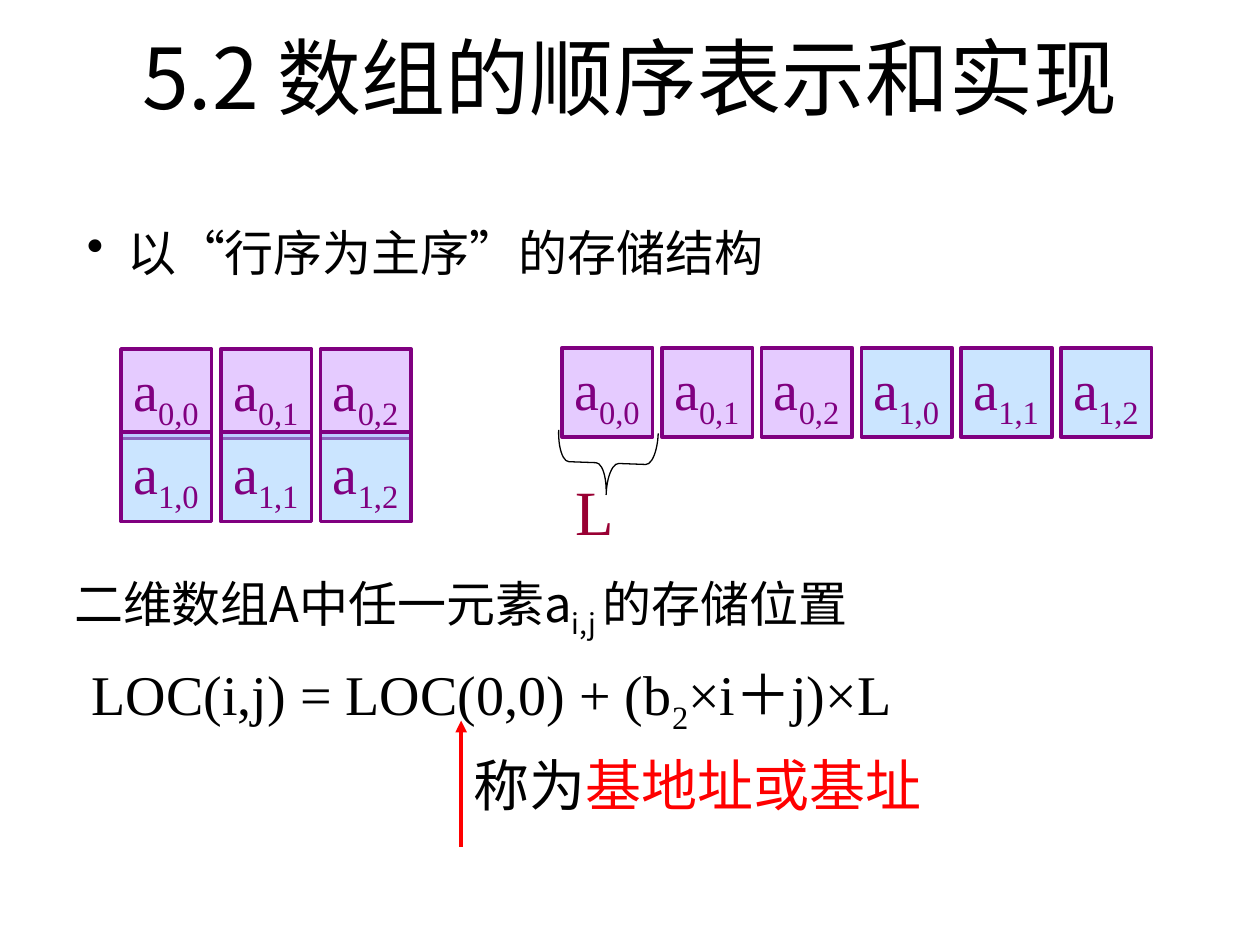
import pptx
import pptx.util
import pptx.dml.color
import pptx.enum.shapes
import pptx.enum.text
import pptx.oxml.ns
from lxml import etree

Inches, Pt = pptx.util.Inches, pptx.util.Pt
Shape = pptx.enum.shapes.MSO_SHAPE
Align, Anchor = pptx.enum.text.PP_ALIGN, pptx.enum.text.MSO_ANCHOR
qn = pptx.oxml.ns.qn
SANS, SERIF = "Noto Sans CJK SC", "Times New Roman"
INK = {"black": "000000", "purple": "800080", "lilac": "CC99FF",
       "sky": "99CCFF", "wine": "990033", "red": "FF0000"}


def rgb(name):
    return pptx.dml.color.RGBColor.from_string(INK[name])


def write(para, text, size=28, font=SERIF, color="black", sub=False):
    run = para.add_run()
    run.text = text
    run.font.size = Pt(size)
    run.font.name = font
    run.font.color.rgb = rgb(color)
    props = run._r.get_or_add_rPr()
    etree.SubElement(props, qn("a:ea")).set("typeface", SANS)
    if sub:
        props.set("baseline", "-25000")


deck = pptx.Presentation()
deck.slide_width, deck.slide_height = Inches(10), Inches(7.5)
slide = deck.slides.add_slide(deck.slide_layouts[5])
shapes = slide.shapes

# Title
title = shapes.title
title.left, title.top = Inches(0.5), Inches(0.13)
title.width, title.height = Inches(9), Inches(0.95)
para = title.text_frame.paragraphs[0]
para.alignment = Align.CENTER
write(para, "5.2 数组的顺序表示和实现", size=48, font=SANS)

# Text boxes
boxes = {}
for name, left, top, width, height, wrap in [
        ("point", 0.59, 1.62, 8.98, 2.34, True),
        ("unit", 4.47, 3.7, 0.64, 0.7, True),
        ("base", 3.66, 5.91, 3.76, 0.64, False),
        ("place", 0.05, 4.37, 7.92, 1.53, True)]:
    box = shapes.add_textbox(Inches(left), Inches(top), Inches(width), Inches(height))
    box.text_frame.word_wrap = wrap
    boxes[name] = box.text_frame

# Bullet point
para = boxes["point"].paragraphs[0]
para.line_spacing = 1.2
props = para._p.get_or_add_pPr()
props.set("marL", str(Inches(0.32)))
props.set("indent", str(-Inches(0.32)))
etree.SubElement(props, qn("a:buChar")).set("char", "•")
write(para, "以“行序为主序”的存储结构", font=SANS)

# Array cells: the 2 x 3 grid, then the same cells in one row
step = 0.792
cells = []
for row in range(2):
    for col in range(3):
        cells.append((row, col, 0.96 + col * step, 2.77 + row * 0.66))
        cells.append((row, col, 4.46 + (row * 3 + col) * step, 2.76))
for row, col, left, top in cells:
    cell = shapes.add_shape(Shape.RECTANGLE, Inches(left), Inches(top),
                            Inches(0.72), Inches(0.71))
    cell.shadow.inherit = False
    cell.fill.solid()
    cell.fill.fore_color.rgb = rgb(["lilac", "sky"][row])
    tint = cell._element.spPr.find(qn("a:solidFill"))[0]
    etree.SubElement(tint, qn("a:alpha")).set("val", "50000")
    cell.line.color.rgb = rgb("purple")
    cell.line.width = Pt(2)
    frame = cell.text_frame
    frame.word_wrap = False
    frame.vertical_anchor = Anchor.MIDDLE
    para = frame.paragraphs[0]
    para.alignment = Align.LEFT
    write(para, "a", size=32, color="purple")
    write(para, f"{row},{col}", size=32, color="purple", sub=True)

# Brace and length of one cell
brace = shapes.add_shape(Shape.LEFT_BRACE, Inches(4.57), Inches(3.28),
                         Inches(0.5), Inches(0.79))
brace.rotation = 272.1
brace.adjustments[0] = 0.18
brace.shadow.inherit = False
brace.fill.background()
brace.line.color.rgb = rgb("black")
brace.line.width = Pt(0.75)
write(boxes["unit"].paragraphs[0], "L", size=36, color="wine")

# Location formula
lead = boxes["place"].paragraphs[0]
rule = boxes["place"].add_paragraph()
for para, indent in [(lead, 0.44), (rule, 0.58)]:
    para.line_spacing = 1.25
    para._p.get_or_add_pPr().set("marL", str(Inches(indent)))
write(lead, "二维数组A中任一元素a", font=SANS)
write(lead, "i,j ", font=SANS, sub=True)
write(lead, "的存储位置", font=SANS)
write(rule, "LOC(i,j) = LOC(0,0) + (b", size=32)
write(rule, "2", size=32, sub=True)
write(rule, "×i＋j)×L", size=32)

# Base address note and its arrow
para = boxes["base"].paragraphs[0]
write(para, "称为", size=32)
write(para, "基地址或基址", size=32, color="red")
arrow = shapes.add_connector(pptx.enum.shapes.MSO_CONNECTOR.STRAIGHT,
                             Inches(3.66), Inches(6.72), Inches(3.66), Inches(5.72))
arrow.line.color.rgb = rgb("red")
arrow.line.width = Pt(2.25)
etree.SubElement(arrow.line._get_or_add_ln(), qn("a:tailEnd")).set("type", "triangle")
etree.SubElement(arrow._element.spPr, qn("a:effectLst"))

deck.save("out.pptx")
